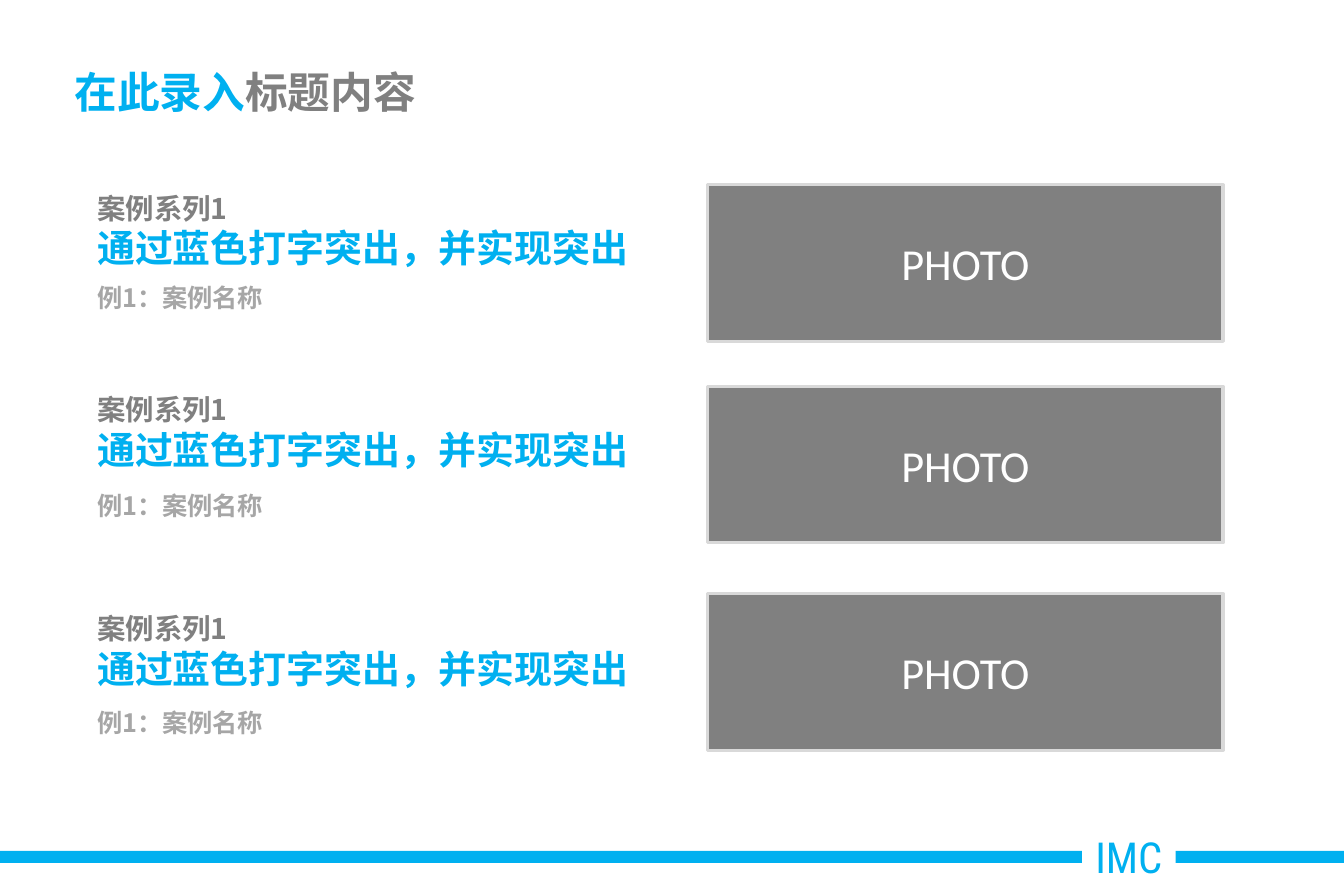
from lxml import etree
from pptx import Presentation
from pptx.dml.color import RGBColor
from pptx.enum.shapes import MSO_SHAPE
from pptx.enum.text import MSO_ANCHOR, MSO_AUTO_SIZE, PP_ALIGN
from pptx.oxml.ns import qn
from pptx.util import Emu, Pt

RECTANGLE = MSO_SHAPE.RECTANGLE
TOP, MIDDLE = MSO_ANCHOR.TOP, MSO_ANCHOR.MIDDLE
LEFT, CENTER = PP_ALIGN.LEFT, PP_ALIGN.CENTER
GROW, FIXED = MSO_AUTO_SIZE.SHAPE_TO_FIT_TEXT, MSO_AUTO_SIZE.NONE

BLUE, GRAY, PALE_GRAY, BORDER, WHITE = "00B0F0", "808080", "A6A6A6", "D9D9D9", "FFFFFF"
CJK, LATIN, CONDENSED = "Noto Sans CJK SC", "Calibri", "Roboto Condensed"

# A run is (text, points, colour, font, bold); a paragraph is a list of runs.
TITLE = [[("在此录入", 27, BLUE, CJK, True), ("标题内容", 27, GRAY, CJK, True)]]
FOOTER = [[("IMC", 27, BLUE, CONDENSED, False)]]
PHOTO = [[("PHOTO", 28, WHITE, LATIN, False)]]

# Each case: series, headline, example, then tops of heading, example and photo in px
CASES = [
    ("案例系列1", "通过蓝色打字突出，并实现突出", "例1：案例名称", 156, 233, 156),
    ("案例系列1", "通过蓝色打字突出，并实现突出", "例1：案例名称", 326, 409, 326),
    ("案例系列1", "通过蓝色打字突出，并实现突出", "例1：案例名称", 511, 592, 501),
]

SLIDE_W, SLIDE_H = 1134, 756
CASE_LEFT, HEADING_W, HEADING_H = 72, 471, 78
EXAMPLE_W, EXAMPLE_H = 681, 36
PHOTO_LEFT, PHOTO_W, PHOTO_H = 597, 435, 132
BODY_INSETS, TITLE_INSETS, FOOTER_INSETS = (10, 5), (11, 6), (3, 6)
EMU_PER_PX = 9525


def px(length):
    return Emu(length * EMU_PER_PX)


def color(hex_string):
    return RGBColor.from_string(hex_string)


def write(shape, paragraphs, insets=BODY_INSETS, anchor=TOP, align=LEFT, wrap=True, size=FIXED):
    frame = shape.text_frame
    frame.auto_size = size
    frame.word_wrap = wrap
    frame.vertical_anchor = anchor
    frame.margin_left = frame.margin_right = px(insets[0])
    frame.margin_top = frame.margin_bottom = px(insets[1])
    for index, runs in enumerate(paragraphs):
        paragraph = frame.add_paragraph() if index else frame.paragraphs[0]
        paragraph.alignment = align
        for text, points, text_color, font_name, bold in runs:
            run = paragraph.add_run()
            run.text = text
            font = run.font
            font.size, font.bold, font.name = Pt(points), bold, font_name
            font.color.rgb = color(text_color)
            etree.SubElement(run._r.get_or_add_rPr(), qn("a:ea"), typeface=font_name)


def add_text(slide, box, paragraphs, **layout):
    write(slide.shapes.add_textbox(*map(px, box)), paragraphs, **layout)


def add_rectangle(slide, box, fill, border=None):
    rectangle = slide.shapes.add_shape(RECTANGLE, *map(px, box))
    rectangle.shadow.inherit = False
    rectangle.fill.solid()
    rectangle.fill.fore_color.rgb = color(fill)
    if border:
        rectangle.line.color.rgb = color(border)
        rectangle.line.width = Pt(2)
    else:
        rectangle.line.fill.background()
    return rectangle


def add_case(slide, series, headline, example, heading_top, example_top, photo_top):
    heading = [[(series, 18, GRAY, CJK, True)], [(headline, 24, BLUE, CJK, True)]]
    add_text(slide, (CASE_LEFT, heading_top, HEADING_W, HEADING_H), heading,
             wrap=False, size=GROW)
    add_text(slide, (CASE_LEFT, example_top, EXAMPLE_W, EXAMPLE_H),
             [[(example, 16, PALE_GRAY, CJK, True)]], size=GROW)
    photo = add_rectangle(slide, (PHOTO_LEFT, photo_top, PHOTO_W, PHOTO_H), GRAY, BORDER)
    write(photo, PHOTO, anchor=MIDDLE, align=CENTER)


def main():
    presentation = Presentation()
    presentation.slide_width, presentation.slide_height = px(SLIDE_W), px(SLIDE_H)
    slide = presentation.slides.add_slide(presentation.slide_layouts[6])

    add_rectangle(slide, (0, 718, SLIDE_W, 10), BLUE)
    footer_label = add_rectangle(slide, (913, 695, 79, 55), WHITE)
    write(footer_label, FOOTER, insets=FOOTER_INSETS, align=CENTER)
    add_text(slide, (52, 47, 1020, 60), TITLE, insets=TITLE_INSETS, anchor=MIDDLE)
    for case in CASES:
        add_case(slide, *case)

    presentation.save("out.pptx")


if __name__ == "__main__":
    main()
